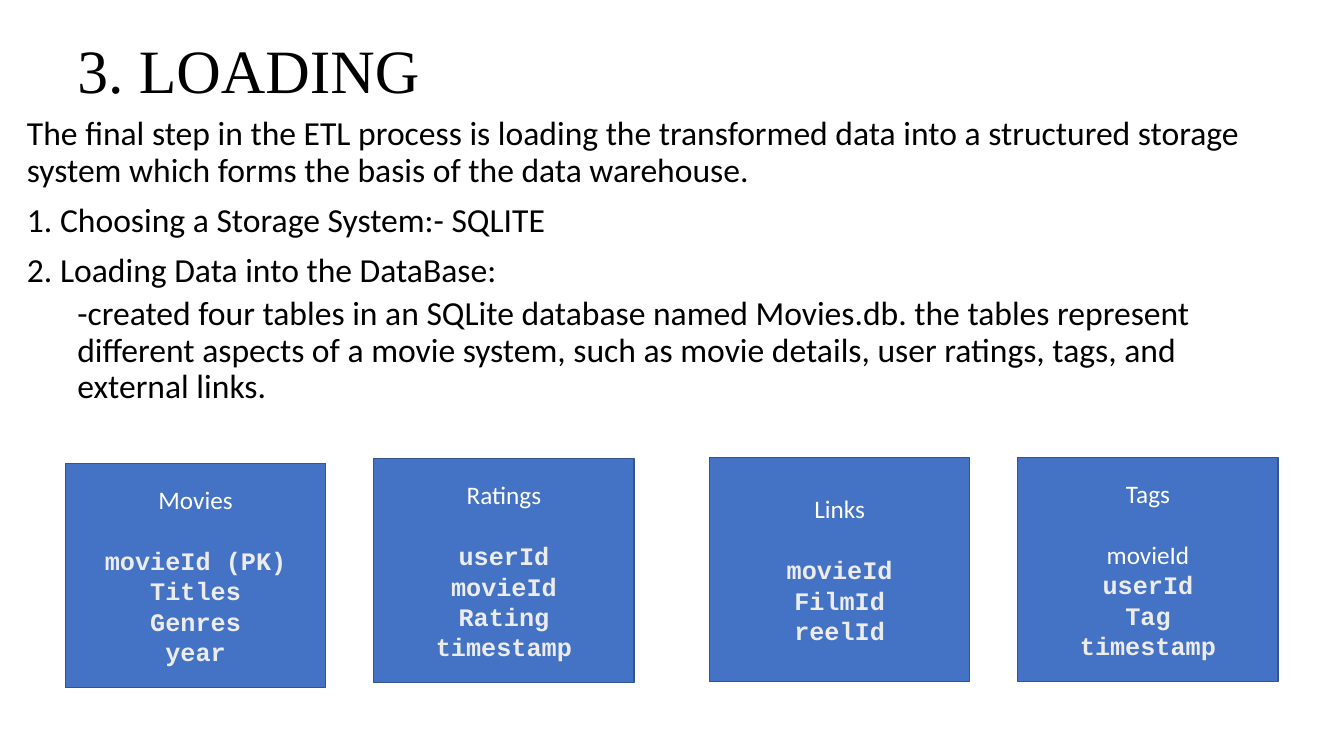
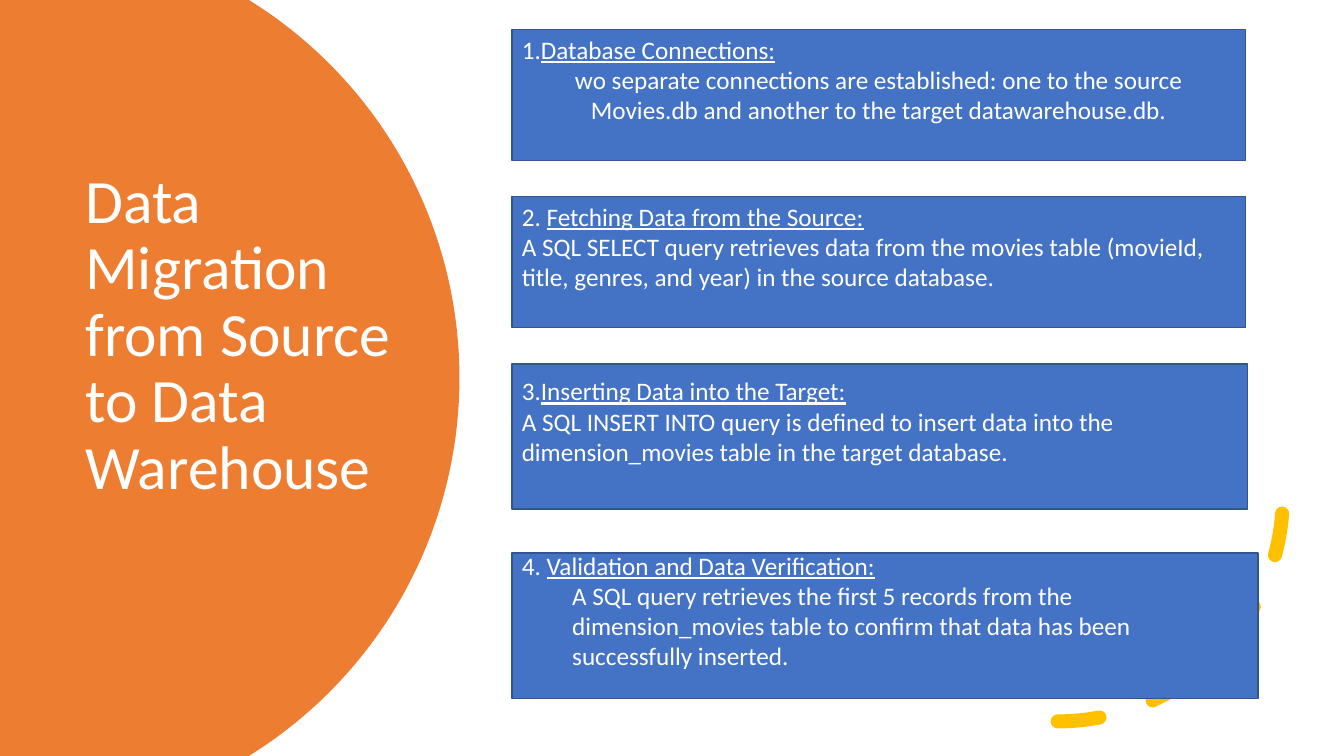
from dataclasses import dataclass
from math import acos, cos, pi, sin

from pptx import Presentation
from pptx.dml.color import RGBColor
from pptx.enum.dml import MSO_LINE_DASH_STYLE as Dash
from pptx.enum.shapes import MSO_SHAPE as Preset
from pptx.enum.text import MSO_ANCHOR as Anchor, PP_ALIGN as Align
from pptx.util import Cm, Pt


@dataclass(frozen=True)
class Theme:
    card: RGBColor = RGBColor(0x44, 0x72, 0xC4)
    card_line: RGBColor = RGBColor(0x32, 0x54, 0x91)
    orange: RGBColor = RGBColor(0xED, 0x7D, 0x31)
    gold: RGBColor = RGBColor(0xFF, 0xC0, 0x00)
    black: RGBColor = RGBColor(0, 0, 0)
    white: RGBColor = RGBColor(0xFF, 0xFF, 0xFF)
    pale: RGBColor = RGBColor(0xEC, 0xEC, 0xEC)
    sans: str = "Calibri"
    serif: str = "Times New Roman"
    mono: str = "Courier New"
    title_size: Pt = Pt(44)
    body_size: Pt = Pt(24)
    card_size: Pt = Pt(18)
    card_row: Pt = Pt(22)
    tight: float = 0.9


THEME = Theme()
WIDTH, HEIGHT = 33.87, 19.05

LOADING_TITLE = "3. LOADING"
# text, left indent in cm, space before in points
LOADING_TEXT = [
    ("The final step in the ETL process is loading the transformed data into a "
     "structured storage system which forms the basis of the data warehouse.", 0, 10),
    ("1. Choosing a Storage System:- SQLITE", 0, 10),
    ("2. Loading Data into the DataBase:", 0, 10),
    ("-created four tables in an SQLite database named Movies.db. the tables represent "
     "different aspects of a movie system, such as movie details, user ratings, tags, "
     "and external links.", 1.27, 5),
]
# left, top, name, plain columns, bold columns
DATABASE_TABLES = [
    (1.65, 11.68, "Movies", [], ["movieId (PK)", "Titles", "Genres", "year"]),
    (9.42, 11.56, "Ratings", [], ["userId", "movieId", "Rating", "timestamp"]),
    (17.88, 11.53, "Links", [], ["movieId", "FilmId", "reelId"]),
    (25.65, 11.53, "Tags", ["movieId"], ["userId", "Tag", "timestamp"]),
]
TABLE_SIZE = (6.56, 5.64)

MIGRATION_TITLE = "Data Migration from Source to Data Warehouse"
STEP_LEFT = 12.9
# top, width, height, number, heading, text, alignment, left indent
MIGRATION_STEPS = [
    (0.74, 18.49, 3.3, "1.", "Database Connections:",
     "wo separate connections are established: one to the source Movies.db and another "
     "to the target datawarehouse.db.", Align.CENTER, 0),
    (4.95, 18.49, 3.3, "2. ", "Fetching Data from the Source:",
     "A SQL SELECT query retrieves data from the movies table (movieId, title, genres, "
     "and year) in the source database.", Align.LEFT, 0),
    (9.17, 18.54, 3.66, "3.", "Inserting Data into the Target:",
     "A SQL INSERT INTO query is defined to insert data into the dimension_movies table "
     "in the target database.", Align.LEFT, 0),
    (13.94, 18.8, 3.66, "4. ", "Validation and Data Verification:",
     "A SQL query retrieves the first 5 records from the dimension_movies table to "
     "confirm that data has been successfully inserted.", Align.LEFT, 1.27),
]
DISC_CENTRE_X, DISC_RADIUS = 0.38, 11.2


def add_paragraph(frame, text, size, color, font=THEME.sans, bold=False,
                  align=Align.LEFT, indent=0):
    first = frame.paragraphs[0]
    paragraph = frame.add_paragraph() if first.runs else first
    paragraph.add_run().text = text
    paragraph.alignment = align
    paragraph.font.size = size
    paragraph.font.name = font
    paragraph.font.bold = bold
    paragraph.font.color.rgb = color
    if indent:
        paragraph._p.get_or_add_pPr().set("marL", str(Cm(indent)))
    return paragraph


def add_text_frame(slide, left, top, width, height, anchor):
    box = slide.shapes.add_textbox(Cm(left), Cm(top), Cm(width), Cm(height))
    frame = box.text_frame
    frame.word_wrap = True
    frame.vertical_anchor = anchor
    return frame


def add_title(slide, text, left, top, width, height, color, font):
    frame = add_text_frame(slide, left, top, width, height, Anchor.MIDDLE)
    paragraph = add_paragraph(frame, text, THEME.title_size, color, font)
    paragraph.line_spacing = THEME.tight


def add_card(slide, left, top, width, height):
    card = slide.shapes.add_shape(
        Preset.RECTANGLE, Cm(left), Cm(top), Cm(width), Cm(height))
    card.shadow.inherit = False
    card.fill.solid()
    card.fill.fore_color.rgb = THEME.card
    card.line.color.rgb = THEME.card_line
    card.line.width = Pt(1)
    frame = card.text_frame
    frame.word_wrap = True
    frame.vertical_anchor = Anchor.MIDDLE
    return frame


def add_disc(slide):
    """Draw the part of a large circle that lies on the slide."""
    middle = HEIGHT / 2
    reach = pi / 2 - acos(middle / DISC_RADIUS)
    steps = 120
    angles = [reach * (2 * step / steps - 1) for step in range(steps + 1)]
    edge = [(Cm(DISC_CENTRE_X + DISC_RADIUS * cos(angle)),
             Cm(middle + DISC_RADIUS * sin(angle))) for angle in angles]
    builder = slide.shapes.build_freeform(0, 0)
    builder.add_line_segments(edge + [(0, Cm(HEIGHT))], close=True)
    disc = builder.convert_to_shape()
    disc.shadow.inherit = False
    disc.fill.solid()
    disc.fill.fore_color.rgb = THEME.orange
    disc.line.fill.background()


def add_dashed_arc(slide):
    arc = slide.shapes.add_shape(Preset.ARC, Cm(20.98), Cm(6.83), Cm(11.35), Cm(11.35))
    arc.shadow.inherit = False
    arc.fill.background()
    arc.line.color.rgb = THEME.gold
    arc.line.width = Pt(10)
    arc.line.dash_style = Dash.DASH
    properties = arc.element.spPr
    properties.xfrm.set("flipV", "1")
    properties.ln.set("cap", "rnd")


def build_loading(slide):
    add_title(slide, LOADING_TITLE, 1.7, 0, 29.21, 3.7, THEME.black, THEME.serif)
    frame = add_text_frame(slide, 0.43, 2.82, 32.26, 8.4, Anchor.TOP)
    for text, indent, before in LOADING_TEXT:
        paragraph = add_paragraph(
            frame, text, THEME.body_size, THEME.black, indent=indent)
        paragraph.line_spacing = THEME.tight
        paragraph.space_before = Pt(before)
    for left, top, name, plain, bold in DATABASE_TABLES:
        frame = add_card(slide, left, top, *TABLE_SIZE)
        heading = add_paragraph(
            frame, name, THEME.card_size, THEME.white, align=Align.CENTER)
        heading.space_after = THEME.card_row
        for column in plain:
            add_paragraph(frame, column, THEME.card_size, THEME.white, align=Align.CENTER)
        for column in bold:
            add_paragraph(frame, column, THEME.card_size, THEME.pale, THEME.mono,
                          bold=True, align=Align.CENTER)


def build_migration(slide):
    add_disc(slide)
    add_title(slide, MIGRATION_TITLE, 1.9, 3.2, 8.89, 10.55, THEME.white, THEME.sans)
    add_dashed_arc(slide)
    for top, width, height, number, heading, text, align, indent in MIGRATION_STEPS:
        frame = add_card(slide, STEP_LEFT, top, width, height)
        frame.margin_top = 0
        frame.margin_bottom = THEME.card_row
        paragraph = add_paragraph(frame, number, THEME.card_size, THEME.white)
        run = paragraph.add_run()
        run.text = heading
        run.font.underline = True
        add_paragraph(frame, text, THEME.card_size, THEME.white,
                      align=align, indent=indent)


def main():
    presentation = Presentation()
    presentation.slide_width = Cm(WIDTH)
    presentation.slide_height = Cm(HEIGHT)
    blank = presentation.slide_layouts[6]
    for build in (build_loading, build_migration):
        build(presentation.slides.add_slide(blank))
    presentation.save("out.pptx")


if __name__ == "__main__":
    main()
